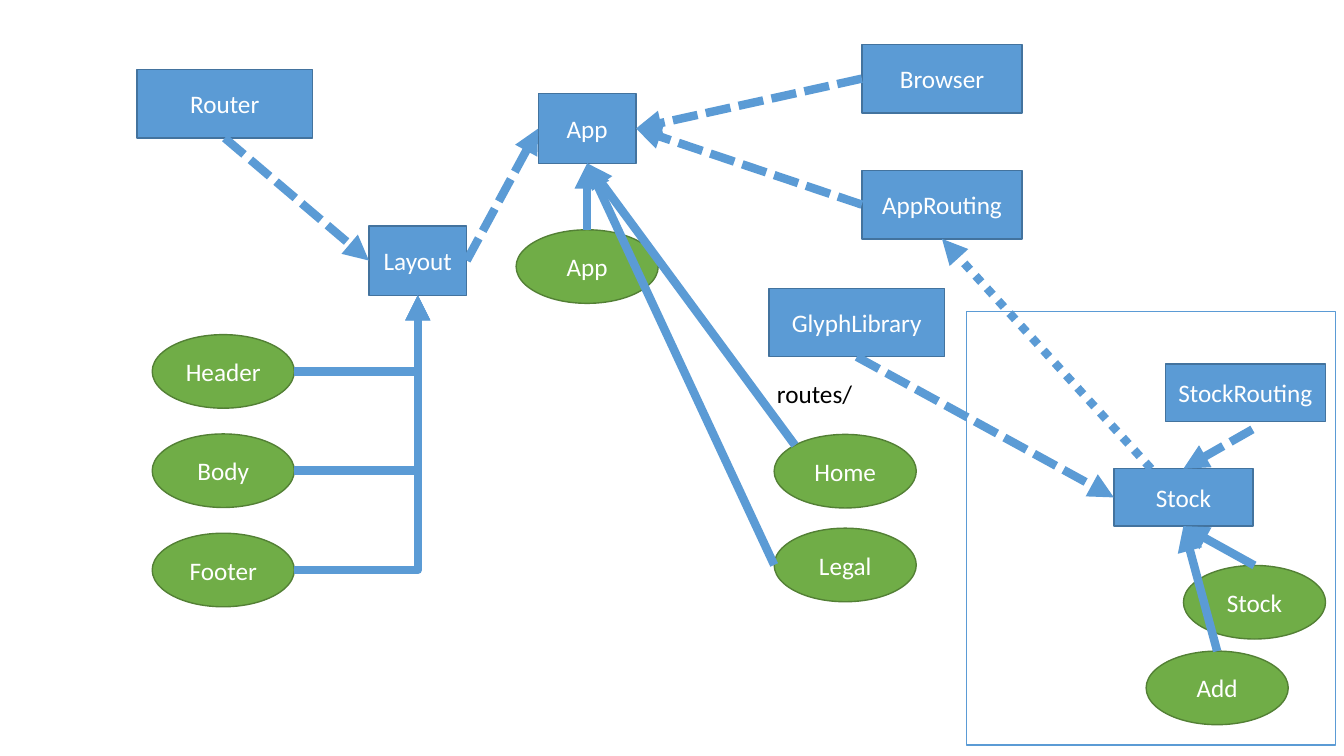
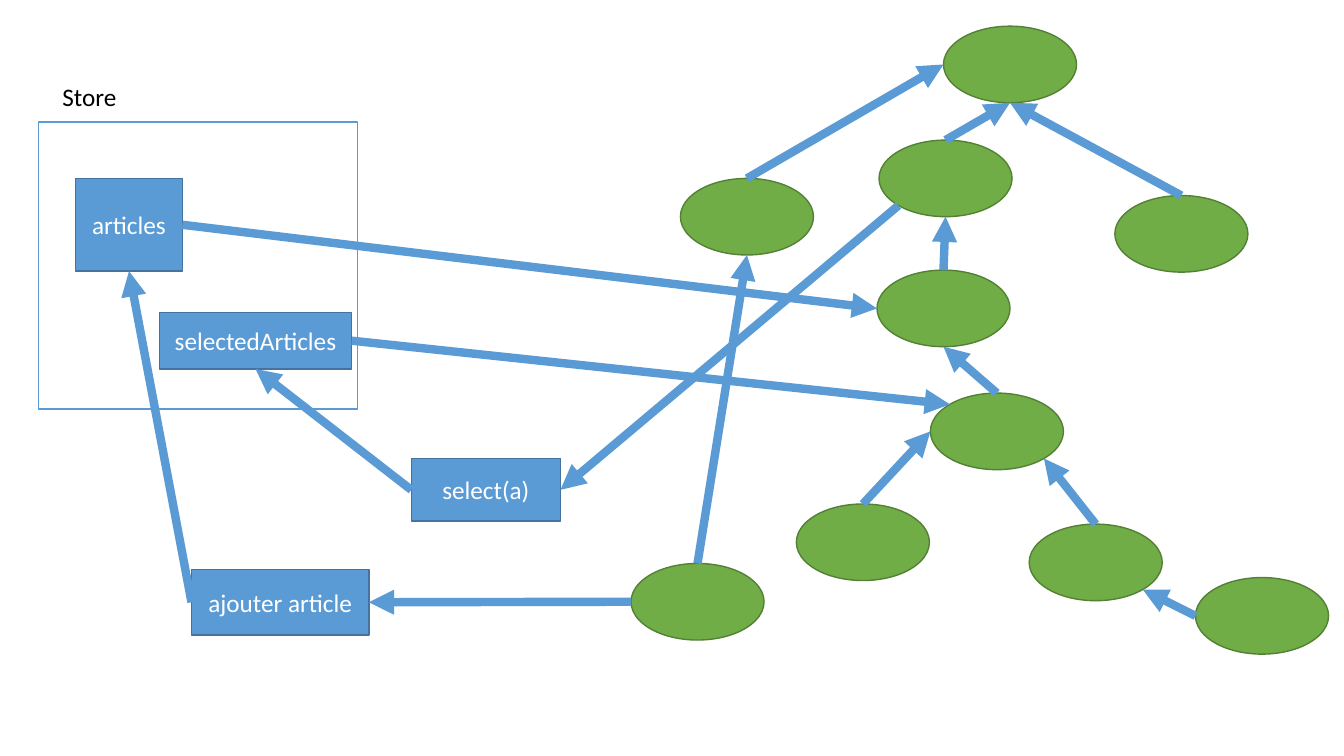
import math
from dataclasses import dataclass
from typing import NamedTuple, Optional

import lxml.etree
import pptx
import pptx.dml.color
import pptx.enum.dml
import pptx.enum.shapes
import pptx.enum.text
import pptx.oxml.ns
import pptx.util

# Grid: square cells, 75 rows down the slide
COLUMNS, ROWS = 133.33, 75
CELL = pptx.util.Inches(7.5) / ROWS

# Shared style
BLUE, BLUE_EDGE = "5B9BD5", "43739E"
GREEN, GREEN_EDGE = "70AD47", "538035"
WHITE, BLACK = "FFFFFF", "000000"
FONT, TEXT_SIZE = "Calibri", 18
EDGE_WIDTH, LINK_WIDTH = 1, 6

SHAPE = pptx.enum.shapes.MSO_SHAPE
CONNECTOR = pptx.enum.shapes.MSO_CONNECTOR
DASHED = pptx.enum.dml.MSO_LINE.SQUARE_DOT
DOTTED = pptx.enum.dml.MSO_LINE.ROUND_DOT

# Connection sites, in the order each preset shape numbers them
RECTANGLE_SITES = ["top", "left", "bottom", "right"]
OVAL_SITES = ["top", "top left", "left", "bottom left",
              "bottom", "bottom right", "right", "top right"]


@dataclass
class Node:
    name: str
    left: float
    top: float
    width: float
    height: float
    text: str = ""
    oval: bool = False

    def site(self, side: str) -> tuple[float, float]:
        """Point where a link meets this node, in cells."""
        across = ("right" in side) - ("left" in side)
        down = ("bottom" in side) - ("top" in side)
        reach = math.sqrt(0.5) if across and down else 1
        return (self.left + self.width / 2 * (1 + across * reach),
                self.top + self.height / 2 * (1 + down * reach))


class End(NamedTuple):
    name: str
    side: str
    shift: Optional[tuple[float, float]] = None  # a shifted end is not glued


@dataclass
class Link:
    start: End
    end: End
    dash: Optional[pptx.enum.dml.MSO_LINE] = None
    elbow: bool = False


@dataclass
class Label:
    text: str
    left: float
    top: float
    width: float
    height: float = 4


@dataclass
class Diagram:
    frame: tuple[float, float, float, float]
    label: Label
    nodes: list[Node]
    links: list[Link]


def cells(count: float) -> int:
    return round(count * CELL)


def colour(code: str) -> pptx.dml.color.RGBColor:
    return pptx.dml.color.RGBColor.from_string(code)


def write(frame, text: str, text_colour: str) -> None:
    para = frame.paragraphs[0]
    para.text = text
    para.font.name = FONT
    para.font.size = pptx.util.Pt(TEXT_SIZE)
    para.font.color.rgb = colour(text_colour)


def draw_box(page, kind, area, fill: str, edge: str):
    box = page.shapes.add_shape(kind, *map(cells, area))
    box.shadow.inherit = False
    box.fill.solid()
    box.fill.fore_color.rgb = colour(fill)
    box.line.color.rgb = colour(edge)
    box.line.width = pptx.util.Pt(EDGE_WIDTH)
    return box


def draw_node(page, node: Node):
    kind = SHAPE.OVAL if node.oval else SHAPE.RECTANGLE
    fill, edge = (GREEN, GREEN_EDGE) if node.oval else (BLUE, BLUE_EDGE)
    area = (node.left, node.top, node.width, node.height)
    box = draw_box(page, kind, area, fill, edge)
    if node.text:
        box.text_frame.vertical_anchor = pptx.enum.text.MSO_ANCHOR.MIDDLE
        write(box.text_frame, node.text, WHITE)
        box.text_frame.paragraphs[0].alignment = pptx.enum.text.PP_ALIGN.CENTER
    return box


def draw_label(page, label: Label) -> None:
    box = page.shapes.add_textbox(
        *map(cells, (label.left, label.top, label.width, label.height)))
    box.text_frame.word_wrap = False
    box.text_frame.auto_size = pptx.enum.text.MSO_AUTO_SIZE.SHAPE_TO_FIT_TEXT
    write(box.text_frame, label.text, BLACK)


def draw_link(page, link: Link, nodes: dict, boxes: dict) -> None:
    points = []
    for end in (link.start, link.end):
        x, y = nodes[end.name].site(end.side)
        right, down = end.shift or (0, 0)
        points += [cells(x + right), cells(y + down)]
    kind = CONNECTOR.ELBOW if link.elbow else CONNECTOR.STRAIGHT
    line = page.shapes.add_connector(kind, *points)
    line.line.color.rgb = colour(BLUE)
    line.line.width = pptx.util.Pt(LINK_WIDTH)
    if link.dash is not None:
        line.line.dash_style = link.dash

    # Arrowhead, no shadow, single bend
    qn = pptx.oxml.ns.qn
    properties = line._element.spPr
    lxml.etree.SubElement(properties.find(qn("a:ln")), qn("a:tailEnd"), type="triangle")
    lxml.etree.SubElement(properties, qn("a:effectLst"))
    if link.elbow:
        properties.find(qn("a:prstGeom")).set("prst", "bentConnector2")

    # Glue the ends to their nodes
    holder = next(line._element.iter(qn("p:cNvCxnSpPr")))
    for tag, end in (("a:stCxn", link.start), ("a:endCxn", link.end)):
        if end.shift is None:
            sites = OVAL_SITES if nodes[end.name].oval else RECTANGLE_SITES
            lxml.etree.SubElement(holder, qn(tag), id=str(boxes[end.name].shape_id),
                                  idx=str(sites.index(end.side)))


def draw_diagram(deck, diagram: Diagram) -> None:
    page = deck.slides.add_slide(deck.slide_layouts[6])
    draw_box(page, SHAPE.RECTANGLE, diagram.frame, WHITE, BLUE)
    draw_label(page, diagram.label)
    nodes = {node.name: node for node in diagram.nodes}
    boxes = {name: draw_node(page, node) for name, node in nodes.items()}
    for link in diagram.links:
        draw_link(page, link, nodes, boxes)


# Slide 1: modules (rectangles) and components (ovals)
def component(name: str, left: float, top: float, text: str) -> Node:
    return Node(name, left, top, 14.1, 7.3, text, oval=True)


LAYOUT_PARTS = ["Header", "Body", "Footer"]
modules = Diagram(
    frame=(95.9, 30.9, 36.6, 43),
    label=Label("routes/", 76.1, 37, 9.6),
    nodes=[
        Node("app", 53.4, 9.3, 9.7, 6.9, "App"),
        Node("browser", 85.5, 4.4, 15.9, 6.8, "Browser"),
        Node("app routing", 85.5, 16.9, 15.9, 6.8, "AppRouting"),
        Node("layout", 36.6, 22.4, 9.7, 6.9, "Layout"),
        Node("router", 13.6, 6.9, 17.4, 6.8, "Router"),
        Node("font", 76.3, 28.6, 17.4, 6.8, "GlyphLibrary"),
        Node("stock routing", 115.6, 36.1, 15.9, 5.7, "StockRouting"),
        Node("stock", 110.5, 46.5, 13.8, 5.7, "Stock"),
        component("app view", 51.2, 22.8, "App"),
        component("home", 76.8, 43.1, "Home"),
        component("legal", 76.8, 52.4, "Legal"),
        component("stock view", 117.4, 56.1, "Stock"),
        component("add", 113.7, 64.6, "Add"),
        *(component(part, 15.1, 33.2 + 9.85 * row, part)
          for row, part in enumerate(LAYOUT_PARTS)),
    ],
    links=[
        Link(End("app view", "top"), End("app", "bottom")),
        Link(End("browser", "left"), End("app", "right"), DASHED),
        Link(End("app routing", "left"), End("app", "right"), DASHED),
        *(Link(End(part, "right"), End("layout", "bottom"), elbow=True)
          for part in LAYOUT_PARTS),
        Link(End("layout", "right"), End("app", "left"), DASHED),
        Link(End("home", "top left"), End("app", "bottom")),
        Link(End("legal", "left"), End("app", "bottom")),
        Link(End("router", "bottom"), End("layout", "left"), DASHED),
        Link(End("stock view", "top"), End("stock", "bottom")),
        Link(End("add", "top"), End("stock", "bottom")),
        Link(End("stock routing", "bottom", (0.7, 0.8)), End("stock", "top"), DASHED),
        Link(End("stock", "top", (-3.2, 0)), End("app routing", "bottom"), DOTTED),
        Link(End("font", "bottom"), End("stock", "left"), DASHED),
    ],
)


# Slide 2: store on the left, component tree on the right
def tree_node(name: str, left: float, top: float) -> Node:
    return Node(name, left, top, 13.2, 7.6, oval=True)


store = Diagram(
    frame=(3.8, 12.1, 31.7, 28.5),
    label=Label("Store", 5.2, 7.6, 7.4),
    nodes=[
        tree_node("root", 93.6, 2.6),
        tree_node("left branch", 67.5, 17.7),
        tree_node("middle branch", 87.2, 13.9),
        tree_node("right branch", 110.6, 19.4),
        tree_node("list", 87, 26.8),
        tree_node("item", 92.3, 39),
        tree_node("item left", 79, 50),
        tree_node("item right", 102.1, 52),
        tree_node("leaf", 118.6, 57.3),
        tree_node("form", 62.6, 55.9),
        Node("articles", 7.5, 17.7, 10.6, 9.2, "articles"),
        Node("selected", 15.8, 31, 19.1, 5.6, "selectedArticles"),
        Node("add article", 19, 56.5, 17.6, 6.5, "ajouter article"),
        Node("select", 40.8, 45.5, 14.8, 6.2, "select(a)"),
    ],
    links=[
        Link(End("middle branch", "top"), End("root", "bottom")),
        Link(End("right branch", "top"), End("root", "bottom")),
        Link(End("left branch", "top"), End("root", "left")),
        Link(End("list", "top"), End("middle branch", "bottom")),
        Link(End("item", "top"), End("list", "bottom")),
        Link(End("item left", "top"), End("item", "left")),
        Link(End("item right", "top"), End("item", "bottom right")),
        Link(End("leaf", "left"), End("item right", "bottom right")),
        Link(End("form", "top"), End("left branch", "bottom")),
        Link(End("form", "left"), End("add article", "right")),
        Link(End("add article", "left"), End("articles", "bottom")),
        Link(End("articles", "right"), End("list", "left")),
        Link(End("middle branch", "bottom left"), End("select", "right")),
        Link(End("select", "left"), End("selected", "bottom")),
        Link(End("selected", "right"), End("item", "top left")),
    ],
)

# Build the deck
deck = pptx.Presentation()
deck.slide_width, deck.slide_height = cells(COLUMNS), cells(ROWS)
for diagram in (modules, store):
    draw_diagram(deck, diagram)
deck.save("out.pptx")
